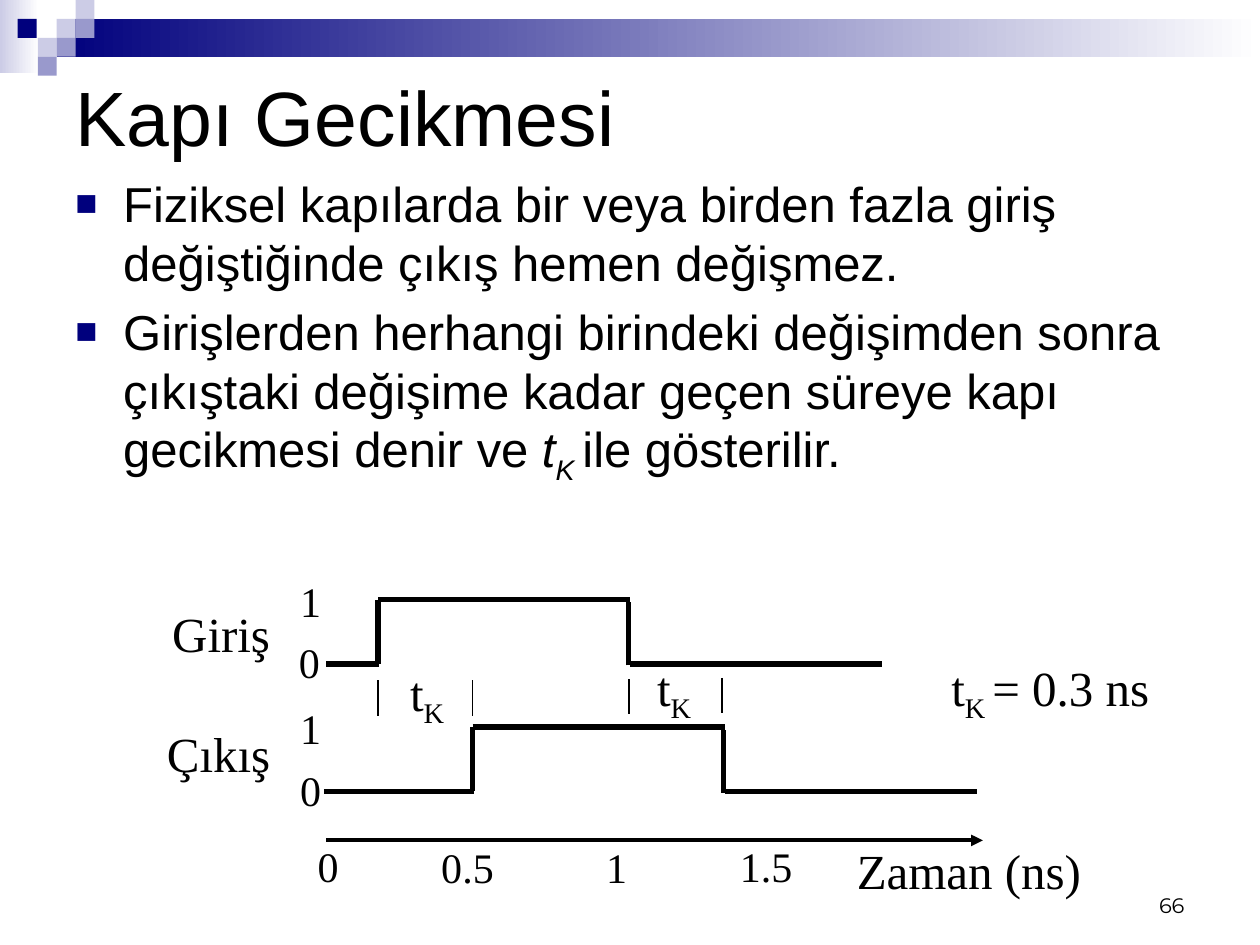
from lxml.etree import SubElement
from pptx import Presentation
from pptx.dml.color import RGBColor
from pptx.enum.shapes import MSO_CONNECTOR, MSO_SHAPE
from pptx.enum.text import MSO_ANCHOR, MSO_AUTO_SIZE, PP_ALIGN
from pptx.oxml.ns import qn
from pptx.util import Emu, Pt

PX_PER_INCH = 100
EMU_PER_PX = 914400 // PX_PER_INCH
BLACK, NAVY, LILAC, PALE, WHITE = "000000", "00007D", "9999CC", "CCCCE6", "FFFFFF"
SERIF = "Times New Roman"
SQUARE = 15


def px(length):
    return Emu(length * EMU_PER_PX)


def color(hex_string):
    return RGBColor.from_string(hex_string)


def add_rectangle(slide, left, top, width, height, *colors):
    """Fill with one colour, or with a left-to-right gradient of two."""
    shape = slide.shapes.add_shape(
        MSO_SHAPE.RECTANGLE, px(left), px(top), px(width), px(height))
    shape.shadow.inherit = False
    shape.line.fill.background()
    if len(colors) == 1:
        shape.fill.solid()
        shape.fill.fore_color.rgb = color(colors[0])
        return
    shape.fill.gradient()
    shape.fill.gradient_angle = 0
    for position, (stop, hex_string) in enumerate(zip(shape.fill.gradient_stops, colors)):
        stop.position = position
        stop.color.rgb = color(hex_string)


def add_line(slide, start, end, width, arrow=False):
    line = slide.shapes.add_connector(
        MSO_CONNECTOR.STRAIGHT, *(px(value) for value in start + end))
    line.line.color.rgb = color(BLACK)
    line.line.width = Pt(width)
    properties = line._element.spPr
    if arrow:
        SubElement(line.line._get_or_add_ln(), qn("a:tailEnd"), type="triangle")
    SubElement(properties, qn("a:effectLst"))


def add_runs(paragraph, pieces, size, font):
    """Add (text, style) pieces; style may hold "i" for italic and "s" for subscript."""
    for text, style in pieces:
        run = paragraph.add_run()
        run.text = text
        run.font.size = Pt(size)
        run.font.name = font
        run.font.color.rgb = color(BLACK)
        if "i" in style:
            run.font.italic = True
        if "s" in style:
            run.font._element.set("baseline", "-25000")


def add_text(slide, box, paragraphs, size, font, align=PP_ALIGN.LEFT,
             anchor=MSO_ANCHOR.TOP, wrap=True):
    shape = slide.shapes.add_textbox(*(px(value) for value in box))
    frame = shape.text_frame
    frame.word_wrap = wrap
    frame.vertical_anchor = anchor
    for index, pieces in enumerate(paragraphs):
        paragraph = frame.add_paragraph() if index else frame.paragraphs[0]
        paragraph.alignment = align
        add_runs(paragraph, pieces, size, font)
    return frame


def add_label(slide, box, pieces, size=28, wrap=False):
    frame = add_text(slide, box, [pieces], size, SERIF, PP_ALIGN.CENTER, wrap=wrap)
    frame.auto_size = MSO_AUTO_SIZE.SHAPE_TO_FIT_TEXT


def add_bullet(paragraph):
    paragraph.space_before = Pt(5.6)
    properties = paragraph._p.get_or_add_pPr()
    properties.set("marL", str(px(38)))
    properties.set("indent", str(-px(38)))
    bullet_color = SubElement(properties, qn("a:buClr"))
    SubElement(bullet_color, qn("a:srgbClr"), val=NAVY)
    SubElement(properties, qn("a:buSzPct"), val="75000")
    SubElement(properties, qn("a:buFont"), typeface="Arial")
    SubElement(properties, qn("a:buChar"), char="■")


def add_banner(slide):
    add_rectangle(slide, 0, 0, 31, 58, PALE, WHITE)
    add_rectangle(slide, 45, 15, 955, 30, NAVY, WHITE)
    squares = [(45, 15, PALE), (60, 0, PALE), (60, 15, LILAC), (30, 30, PALE),
               (14, 15, NAVY), (45, 30, LILAC), (30, 45, LILAC)]
    for left, top, hex_string in squares:
        add_rectangle(slide, left, top, SQUARE, SQUARE, hex_string)


def add_pulse(slide, start, rise, low):
    """Draw a signal that is high for 200 px after rise, then low for 200 px."""
    high, fall = low - 51, rise + 200
    add_line(slide, (start, low), (rise + 1, low), 3)
    add_line(slide, (rise, low), (rise, high), 3)
    add_line(slide, (rise, high), (fall, high), 3)
    add_line(slide, (fall - 1, low + 1), (fall - 1, high + 2), 3)
    add_line(slide, (fall, low), (fall + 200, low), 3)


def add_timing_diagram(slide):
    add_pulse(slide, 259, 300, 527)
    add_pulse(slide, 257, 375, 628)
    for x, top in [(300, 540), (375, 540), (499, 539), (573, 538)]:
        add_line(slide, (x, top), (x, top + 28), 1)
    add_line(slide, (259, 667), (780, 667), 2.25, arrow=True)

    delay = [("t", ""), ("K", "s")]
    for left, top in [(286, 521), (482, 517)]:
        add_label(slide, (left, top, 106, 57), delay, wrap=True)
    add_label(slide, (722, 517, 223, 57),
              [("t", ""), ("K ", "s"), ("= 0.3 ns", "")], wrap=True)

    names = [("Giriş", 126, 474, 99), ("Çıkış", 122, 569, 103),
             ("Zaman (ns)", 669, 662, 200)]
    for text, left, top, width in names:
        add_label(slide, (left, top, width, 57), [(text, "")])

    levels = [("0", 227, 500), ("0", 228, 602), ("1", 228, 452), ("1", 228, 553)]
    times = [("0", 242, 662), ("0.5", 340, 663), ("1", 471, 663), ("1.5", 577, 662)]
    for text, left, top in levels + times:
        width = 37 if len(text) == 1 else 62
        add_label(slide, (left, top, width, 50), [(text, "")], 24)


def main():
    presentation = Presentation()
    presentation.slide_width, presentation.slide_height = px(1000), px(750)
    slide = presentation.slides.add_slide(presentation.slide_layouts[6])
    add_banner(slide)
    add_text(slide, (717, 683, 233, 50), [[("66", "")]], 12, "Montserrat",
             PP_ALIGN.RIGHT, MSO_ANCHOR.BOTTOM)
    add_text(slide, (50, 50, 900, 83), [[("Kapı Gecikmesi", "")]], 44, "Arial",
             anchor=MSO_ANCHOR.MIDDLE)
    body = add_text(slide, (50, 133, 900, 508), [
        [("Fiziksel kapılarda bir veya birden fazla giriş değiştiğinde "
          "çıkış hemen değişmez.", "")],
        [("Girişlerden herhangi birindeki değişimden sonra çıkıştaki değişime "
          "kadar geçen süreye kapı gecikmesi denir ve ", ""),
         ("t", "i"), ("K ", "is"), ("ile gösterilir.", "")],
    ], 28, "Arial")
    for paragraph in body.paragraphs:
        add_bullet(paragraph)
    add_timing_diagram(slide)
    presentation.save("out.pptx")


if __name__ == "__main__":
    main()
